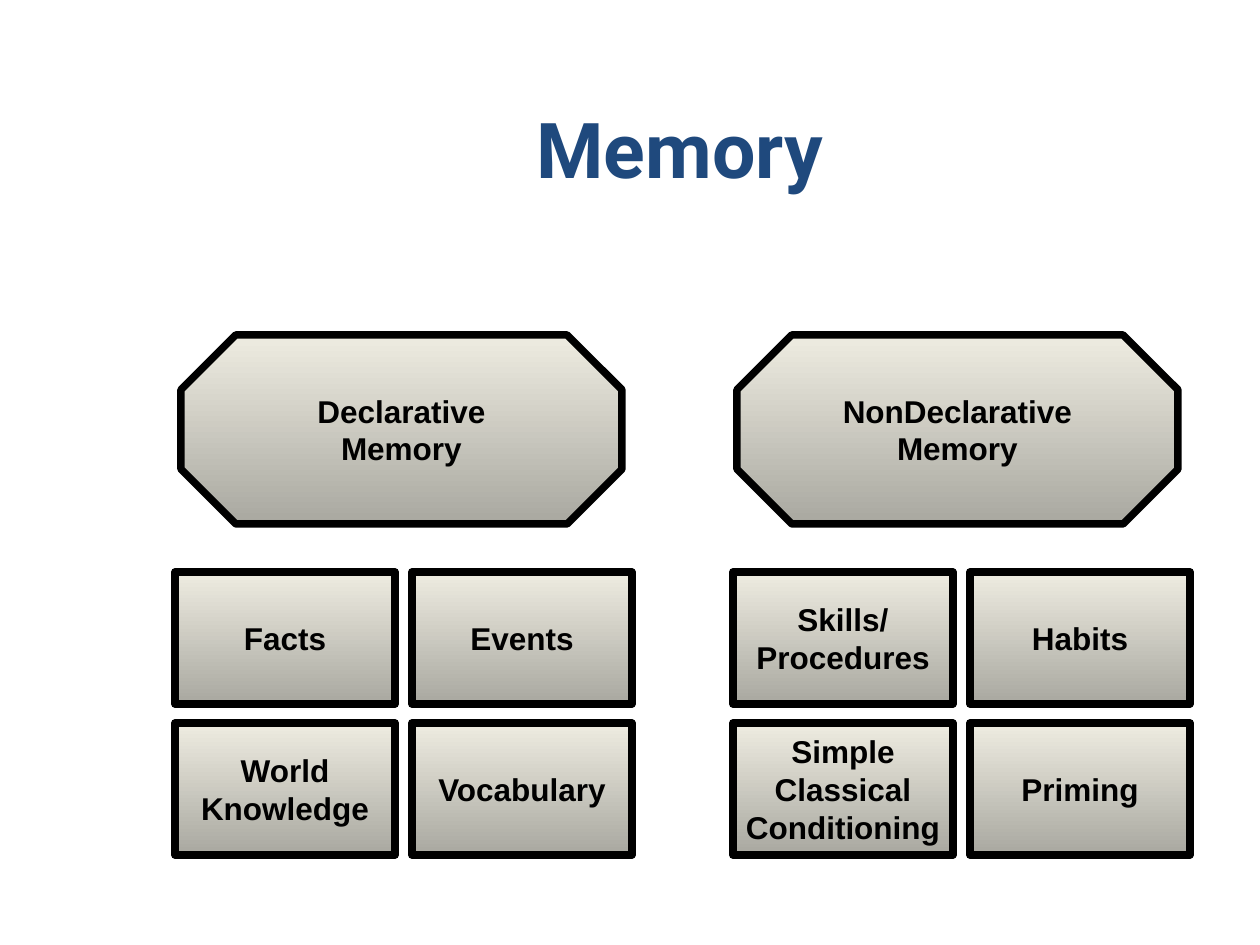
"""Build a slide that sorts memory into declarative and nondeclarative kinds."""
from dataclasses import dataclass

from pptx import Presentation
from pptx.dml.color import RGBColor
from pptx.enum.dml import MSO_THEME_COLOR
from pptx.enum.shapes import MSO_SHAPE
from pptx.enum.text import MSO_ANCHOR, PP_ALIGN
from pptx.oxml import parse_xml
from pptx.oxml.ns import nsdecls
from pptx.util import Emu, Pt

TITLE = "Memory"
GROUPS = [
    {
        "heading": ["Declarative", "Memory"],
        "heading_left": 181,
        "grid_left": 175,
        "kinds": [["Facts"], ["Events"], ["World", "Knowledge"], ["Vocabulary"]],
    },
    {
        "heading": ["NonDeclarative", "Memory"],
        "heading_left": 737,
        "grid_left": 733,
        "kinds": [["Skills/", "Procedures"], ["Habits"],
                  ["Simple", "Classical", "Conditioning"], ["Priming"]],
    },
]

SLIDE_SIZE = (1260, 945)
TITLE_BOX = (126, 32, 1108, 231)
HEADING_TOP, HEADING_SIZE = 335, (441, 189)
GRID_TOP, KIND_SIZE = 572, (220, 132)
COLUMNS, COLUMN_STEP, ROW_STEP = 2, 237, 151
CORNER = 0.29


@dataclass(frozen=True)
class Theme:
    """Hold the colours, fonts and sizes of the slide."""
    ink: RGBColor = RGBColor(0, 0, 0)
    title_color: MSO_THEME_COLOR = MSO_THEME_COLOR.TEXT_2
    fill: str = "bg2"
    end_shade: int = 46000
    border: float = 4.25
    title_font: str = "Roboto"
    title_size: int = 44
    body_font: str = "Arial"
    body_size: int = 18


THEME = Theme()


def px(length):
    """Turn px into EMU."""
    return Emu(round(length * 914400 / 126))


def write_text(shape, lines, *, font, size, color, wrap):
    """Write centred bold lines, one paragraph each."""
    frame = shape.text_frame
    frame.word_wrap = wrap
    frame.vertical_anchor = MSO_ANCHOR.MIDDLE
    for index, line in enumerate(lines):
        para = frame.add_paragraph() if index else frame.paragraphs[0]
        para.alignment = PP_ALIGN.CENTER
        span = para.add_run()
        span.text = line
        span.font.name = font
        span.font.size = Pt(size)
        span.font.bold = True
        if isinstance(color, RGBColor):
            span.font.color.rgb = color
        else:
            span.font.color.theme_color = color


def shade_downward(shape):
    """Fill a shape with the theme colour, darkening to the bottom."""
    gradient = parse_xml(
        f'<a:gradFill {nsdecls("a")} rotWithShape="1"><a:gsLst>'
        f'<a:gs pos="0"><a:schemeClr val="{THEME.fill}"/></a:gs>'
        f'<a:gs pos="100000"><a:schemeClr val="{THEME.fill}">'
        f'<a:shade val="{THEME.end_shade}"/></a:schemeClr></a:gs>'
        '</a:gsLst><a:lin ang="5400000" scaled="0"/></a:gradFill>'
    )
    shape._element.spPr.prstGeom.addnext(gradient)


def add_box(slide, kind, lines, left, top, size):
    """Add a bordered, shaded box with text."""
    box = slide.shapes.add_shape(kind, *map(px, (left, top, *size)))
    box.shadow.inherit = False
    shade_downward(box)
    box.line.color.rgb = THEME.ink
    box.line.width = Pt(THEME.border)
    write_text(box, lines, font=THEME.body_font, size=THEME.body_size,
               color=THEME.ink, wrap=False)
    return box


def add_group(slide, group):
    """Add a heading octagon and the grid of kinds below it."""
    heading = add_box(slide, MSO_SHAPE.OCTAGON, group["heading"],
                      group["heading_left"], HEADING_TOP, HEADING_SIZE)
    heading.adjustments[0] = CORNER
    for index, lines in enumerate(group["kinds"]):
        row, column = divmod(index, COLUMNS)
        add_box(slide, MSO_SHAPE.RECTANGLE, lines,
                group["grid_left"] + column * COLUMN_STEP,
                GRID_TOP + row * ROW_STEP, KIND_SIZE)


def main():
    """Build and save the deck."""
    deck = Presentation()
    deck.slide_width, deck.slide_height = map(px, SLIDE_SIZE)
    slide = deck.slides.add_slide(deck.slide_layouts[5])
    title = slide.shapes.title
    title.left, title.top, title.width, title.height = map(px, TITLE_BOX)
    write_text(title, [TITLE], font=THEME.title_font, size=THEME.title_size,
               color=THEME.title_color, wrap=True)
    for group in GROUPS:
        add_group(slide, group)
    deck.save("out.pptx")


if __name__ == "__main__":
    main()
